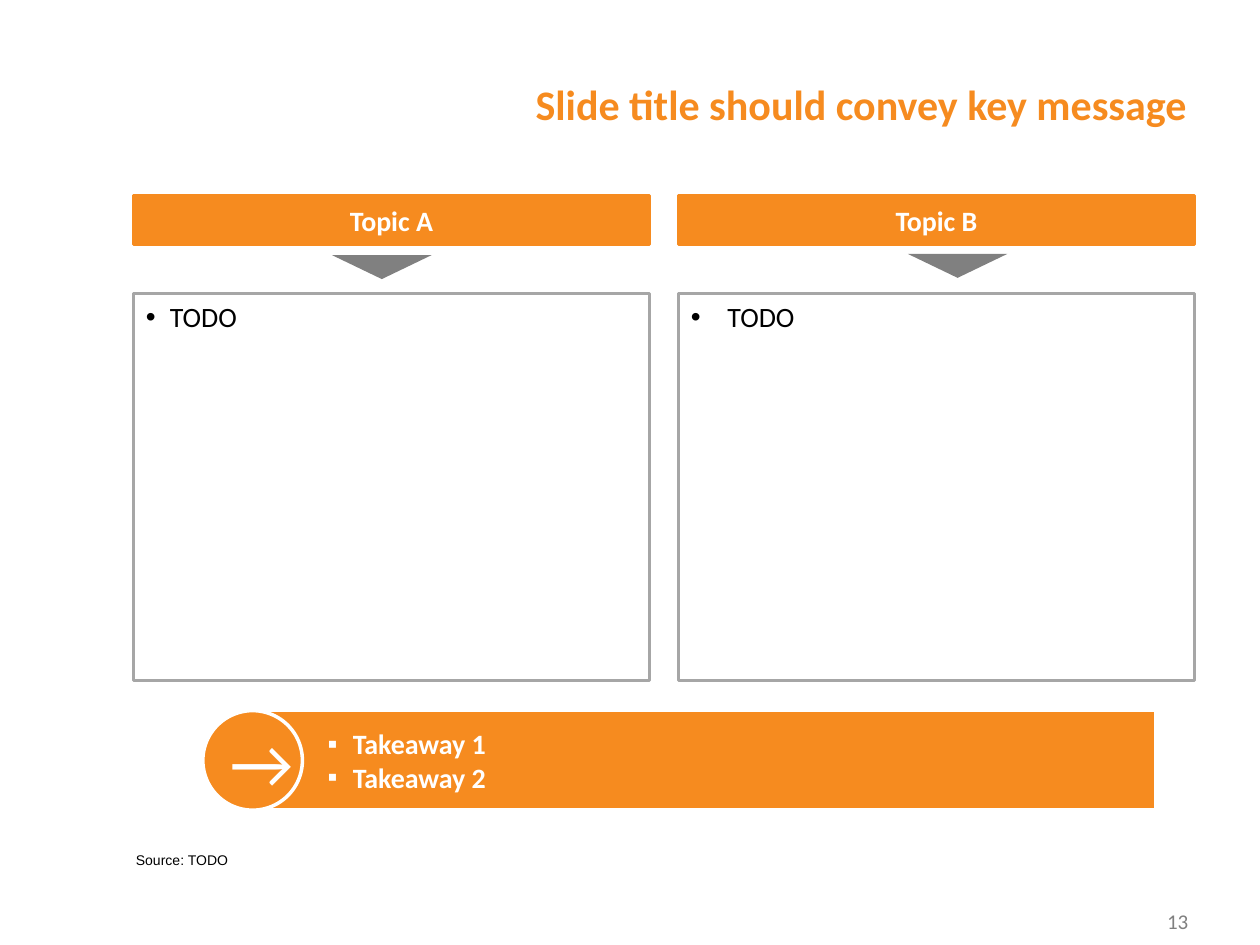
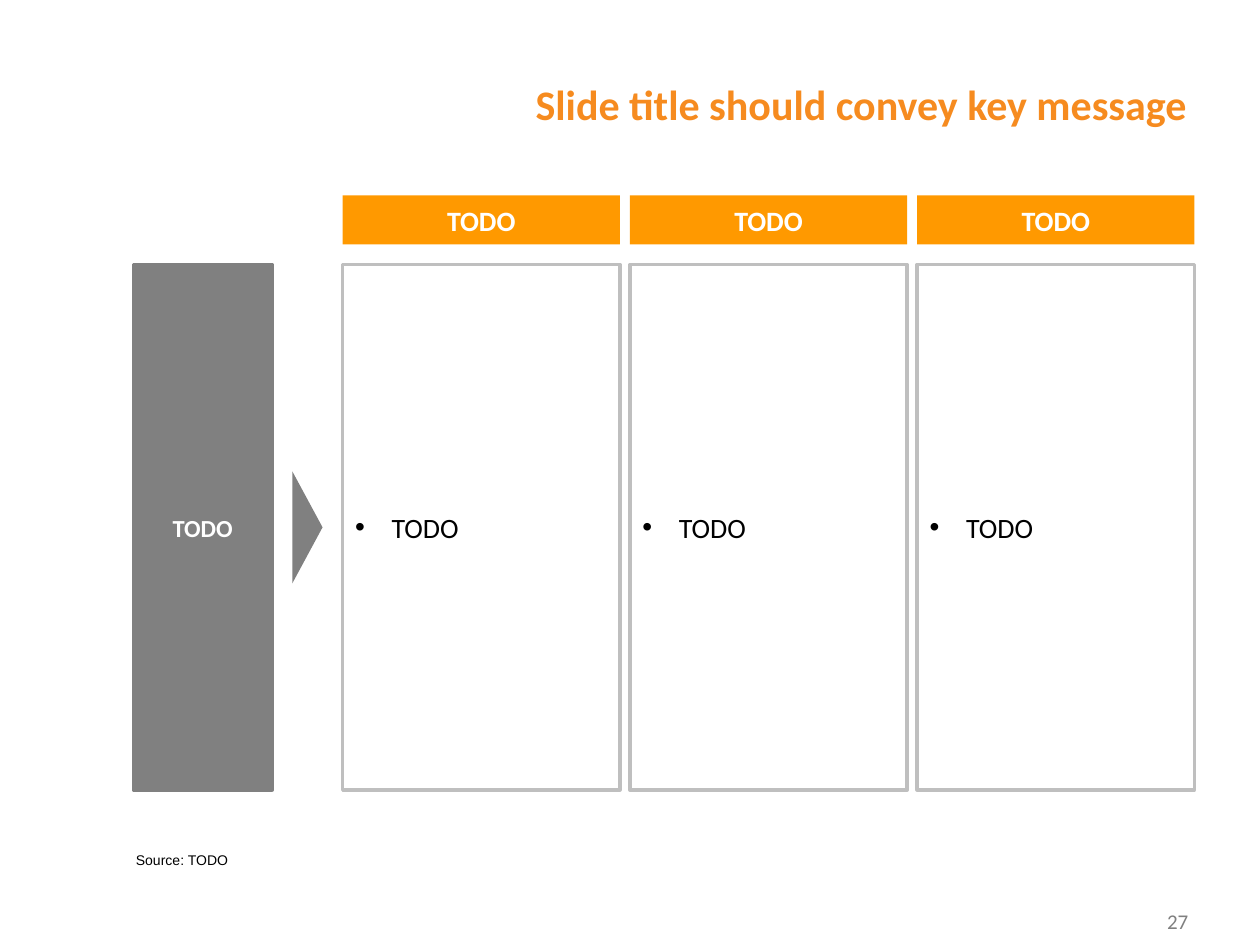
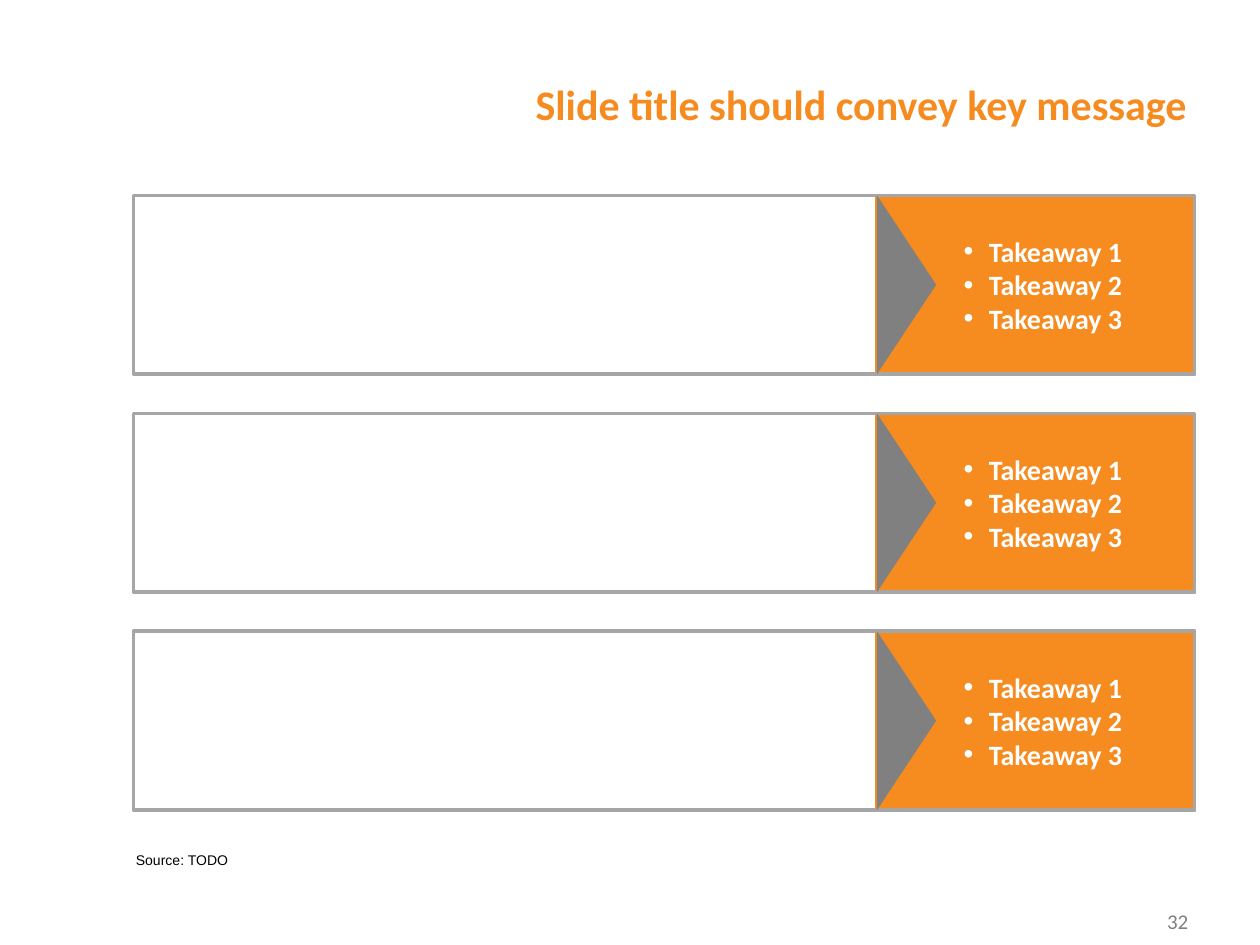
from lxml.etree import SubElement
from pptx import Presentation
from pptx.dml.color import RGBColor
from pptx.enum.shapes import MSO_SHAPE as Shape
from pptx.enum.text import MSO_ANCHOR as Anchor, MSO_AUTO_SIZE as AutoSize, PP_ALIGN as Align
from pptx.oxml.ns import qn
from pptx.util import Inches, Pt

ORANGE = RGBColor(0xF6, 0x8B, 0x1F)
AMBER = RGBColor(0xFF, 0x99, 0x00)
GREY = RGBColor(0x80, 0x80, 0x80)
FRAME_GREY = RGBColor(0xA6, 0xA6, 0xA6)
PALE_GREY = RGBColor(0xBF, 0xBF, 0xBF)
WHITE = RGBColor(0xFF, 0xFF, 0xFF)
BLACK = RGBColor(0, 0, 0)

LEFT, RIGHT, TOP, BOTTOM = 1.06, 9.48, 1.55, 6.43
HEADER_HEIGHT = 0.39
DOWN, RIGHTWARD = 180, 90

TITLE = {"name": "Calibri", "size": Pt(24), "bold": True, "color": ORANGE}
BODY = {"name": "Calibri", "size": Pt(16), "bold": False, "color": BLACK}
HEADING = {**BODY, "bold": True, "color": WHITE}
SIDE_HEADING = {**HEADING, "size": Pt(14)}
ARROW = {**BODY, "size": Pt(40), "color": WHITE}
PAGE_NUMBER = {**BODY, "size": Pt(12), "color": GREY}
SOURCE = {"name": "Arial", "size": Pt(8), "bold": False, "color": BLACK}


def split(start, end, count, gap):
    size = (end - start - gap * (count - 1)) / count
    return [(start + index * (size + gap), size) for index in range(count)]


def add_bullet(para, symbol, indent, hanging):
    props = para._p.get_or_add_pPr()
    props.set("marL", str(Inches(indent)))
    props.set("indent", str(-Inches(hanging)))
    SubElement(props, qn("a:buFont")).set("typeface", "Arial")
    SubElement(props, qn("a:buChar")).set("char", symbol)


def write(box, lines, style, align=Align.LEFT, anchor=Anchor.TOP, bullet=None, inset=0.1):
    frame = box.text_frame
    frame.word_wrap = True
    frame.vertical_anchor = anchor
    frame.margin_left = Inches(inset)
    for index, line in enumerate(lines):
        para = frame.add_paragraph() if index else frame.paragraphs[0]
        para.alignment = align
        if bullet:
            add_bullet(para, *bullet)
        span = para.add_run()
        span.text = line
        for key, value in style.items():
            if key == "color":
                span.font.color.rgb = value
            else:
                setattr(span.font, key, value)
    return frame


def add_box(shapes, area, fill=None, line=None, kind=Shape.RECTANGLE):
    box = shapes.add_shape(kind, *map(Inches, area))
    box.shadow.inherit = False
    if fill is None:
        box.fill.background()
    else:
        box.fill.solid()
        box.fill.fore_color.rgb = fill
    if line is None:
        box.line.fill.background()
    else:
        box.line.color.rgb = line
        box.line.width = Pt(2)
        SubElement(box.line._get_or_add_ln(), qn("a:round"))
    return box


def add_header(page, area, text, fill, line=None, style=HEADING):
    write(add_box(page.shapes, area, fill, line), [text], style, Align.CENTER, Anchor.MIDDLE)


def add_pointer(page, center_x, center_y, base, depth, direction):
    area = (center_x - base / 2, center_y - depth / 2, base, depth)
    add_box(page.shapes, area, GREY, kind=Shape.ISOSCELES_TRIANGLE).rotation = direction


def add_label(page, area, text, style, align=Align.LEFT):
    return write(page.shapes.add_textbox(*map(Inches, area)), [text], style, align)


def add_page(deck, number):
    page = deck.slides.add_slide(deck.slide_layouts.get_by_name("Title Only"))
    title = page.shapes.title
    title.left, title.top, title.width, title.height = map(Inches, (3.35, 0, 6.17, 1.07))
    frame = write(title, ["Slide title should convey key message"], TITLE, Align.RIGHT, Anchor.BOTTOM)
    frame.auto_size = AutoSize.NONE
    frame.paragraphs[0].line_spacing = Pt(29)
    add_label(page, (7.2, 7.16, 2.33, 0.37), str(number), PAGE_NUMBER, Align.RIGHT)
    source = add_label(page, (0.98, 6.71, 4.17, 0.23), "Source: TODO", SOURCE)
    source.auto_size = AutoSize.SHAPE_TO_FIT_TEXT
    return page


def add_takeaway_band(page, top, height):
    shapes = page.shapes.add_group_shape().shapes
    band = add_box(shapes, (2.01, top, 7.16, height), ORANGE, WHITE)
    write(band, ["Takeaway 1", "Takeaway 2"], HEADING, anchor=Anchor.MIDDLE,
          bullet=("▪", 0.2, 0.2), inset=0.59)
    circle = add_box(shapes, (1.61, top, height, height), ORANGE, WHITE, Shape.OVAL)
    write(circle, ["→"], ARROW, Align.CENTER, Anchor.MIDDLE)


def build_two_topics(deck):
    page = add_page(deck, 13)
    topics = [("Topic A", 0.19, 3.03, 2.12), ("Topic B", 0.29, 7.6, 2.11)]
    for (left, width), (topic, indent, pointer_x, pointer_y) in zip(split(LEFT, RIGHT, 2, 0.23), topics):
        add_header(page, (left, TOP, width, HEADER_HEIGHT), topic, ORANGE, ORANGE)
        add_pointer(page, pointer_x, pointer_y, 0.79, 0.19, DOWN)
        panel = add_box(page.shapes, (left, 2.33, width, 3.07), line=FRAME_GREY)
        write(panel, ["TODO"], BODY, bullet=("•", indent, indent))
    add_takeaway_band(page, 5.64, 0.79)


def build_three_columns(deck):
    page = add_page(deck, 27)
    top, height = 2.1, 4.17
    add_header(page, (LEFT, top, 1.1, height), "TODO", GREY, GREY, SIDE_HEADING)
    add_pointer(page, 2.44, top + height / 2, 0.89, 0.24, RIGHTWARD)
    for left, width in split(2.72, RIGHT, 3, 0.08):
        add_header(page, (left, TOP, width, HEADER_HEIGHT), "TODO", AMBER)
        panel = add_box(page.shapes, (left, top, width, height), line=PALE_GREY)
        write(panel, ["TODO"], BODY, anchor=Anchor.MIDDLE, bullet=("•", 0.29, 0.29))


def build_three_rows(deck):
    page = add_page(deck, 32)
    divider, depth = 6.96, 0.47
    for top, height in split(TOP, BOTTOM, 3, 0.31):
        summary = add_box(page.shapes, (divider, top, RIGHT - divider, height), ORANGE, ORANGE)
        write(summary, [f"Takeaway {index}" for index in (1, 2, 3)], HEADING,
              anchor=Anchor.MIDDLE, bullet=("•", 0.79, 0.2))
        add_box(page.shapes, (LEFT, top, RIGHT - LEFT, height), line=FRAME_GREY)
        add_pointer(page, divider + depth / 2, top + height / 2, height, depth, RIGHTWARD)


def main():
    deck = Presentation()
    deck.slide_width, deck.slide_height = Inches(10), Inches(7.5)
    build_two_topics(deck)
    build_three_columns(deck)
    build_three_rows(deck)
    deck.save("out.pptx")


if __name__ == "__main__":
    main()
